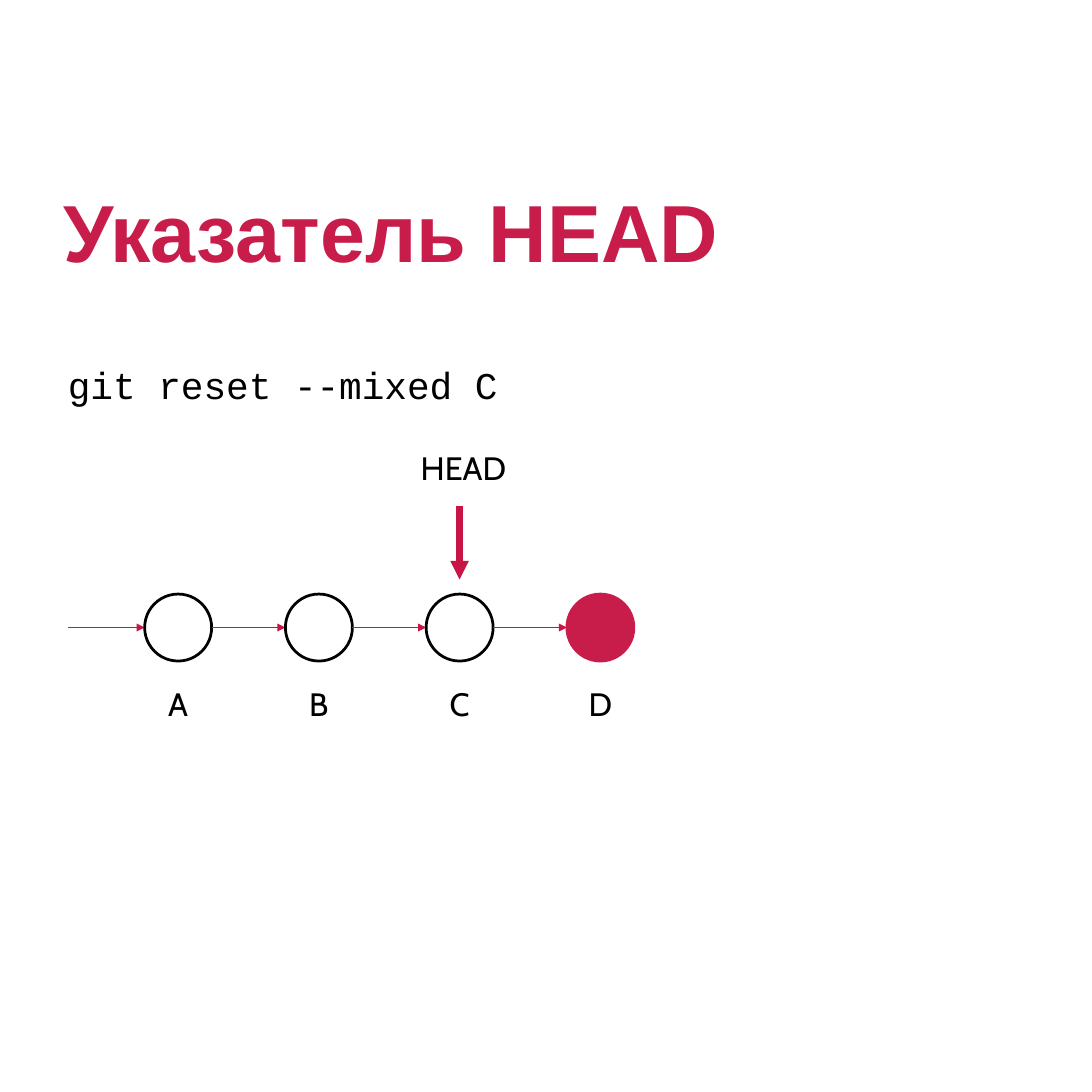
from dataclasses import dataclass

from pptx import Presentation
from pptx.dml.color import RGBColor
from pptx.enum.shapes import MSO_CONNECTOR, MSO_SHAPE
from pptx.enum.text import MSO_ANCHOR, MSO_AUTO_SIZE, PP_ALIGN
from pptx.oxml.ns import qn
from pptx.util import Inches, Pt
from lxml.etree import SubElement


@dataclass(frozen=True)
class Theme:
    accent = RGBColor(0xC8, 0x1D, 0x4A)
    arrow = RGBColor(0xC7, 0x15, 0x47)
    ink = RGBColor(0, 0, 0)
    title_size = Pt(60)
    code_size = Pt(28)
    label_size = Pt(24)
    label_leading = Pt(27.6)
    outline = Pt(2.04)


theme = Theme()
prs = Presentation()
prs.slide_width = prs.slide_height = Inches(11.25)
s = prs.slides.add_slide(prs.slide_layouts[5])


def set_text(sp, text, font, size, color, align=PP_ALIGN.LEFT):
    """Put one unpadded, top-anchored line of text in a shape and return its paragraph."""
    tf = sp.text_frame
    tf.text = text
    tf.word_wrap = True
    tf.auto_size = MSO_AUTO_SIZE.NONE
    tf.vertical_anchor = MSO_ANCHOR.TOP
    tf.margin_left = tf.margin_right = tf.margin_top = tf.margin_bottom = 0
    p = tf.paragraphs[0]
    p.alignment = align
    p.font.name, p.font.size, p.font.color.rgb = font, size, color
    return p


def add_arrow(x1, y1, x2, y2, width):
    sp = s.shapes.add_connector(MSO_CONNECTOR.STRAIGHT, Inches(x1), Inches(y1),
                                Inches(x2), Inches(y2))
    sp.line.color.rgb = theme.arrow
    sp.line.width = width
    SubElement(sp.line._get_or_add_ln(), qn("a:tailEnd"), type="triangle")
    SubElement(sp._element.spPr, qn("a:effectLst"))


# Title and command
title = s.shapes.title
title.left, title.top = Inches(0.65), Inches(1.87)
title.width, title.height = Inches(8), Inches(1)
p = set_text(title, "Указатель HEAD", "Arial", theme.title_size, theme.accent)
p.font.bold = True

command = s.shapes.add_textbox(Inches(0.7), Inches(3.73), Inches(5), Inches(0.5))
set_text(command, "git reset --mixed C", "Courier New", theme.code_size, theme.ink)

# Commit chain
first_left, pitch, diameter = 1.49, 1.45, 0.69
top = 6.12
middle = top + diameter / 2
label_width, label_height = 0.27, 0.38
labels = []
tail = 0.7
for i, commit in enumerate("ABCD"):
    left = first_left + i * pitch
    center = left + diameter / 2
    add_arrow(tail, middle, left, middle, Pt(1))
    tail = left + diameter

    sp = s.shapes.add_shape(MSO_SHAPE.OVAL, Inches(left), Inches(top),
                            Inches(diameter), Inches(diameter))
    sp.shadow.inherit = False
    sp.line.width = theme.outline
    if commit == "D":
        sp.fill.solid()
        sp.fill.fore_color.rgb = sp.line.color.rgb = theme.accent
    else:
        sp.fill.background()
        sp.line.color.rgb = theme.ink
    labels.append((commit, center, 7.06, label_width))

    if commit == "C":
        add_arrow(center, 5.21, center, 5.97, Pt(4.56))
        labels.append(("HEAD", center + 0.04, 4.63, 1))

for text, center, y, width in labels:
    sp = s.shapes.add_textbox(Inches(center - width / 2), Inches(y),
                              Inches(width), Inches(label_height))
    p = set_text(sp, text, "Cabin", theme.label_size, theme.ink, PP_ALIGN.CENTER)
    p.line_spacing = theme.label_leading

prs.save("out.pptx")
